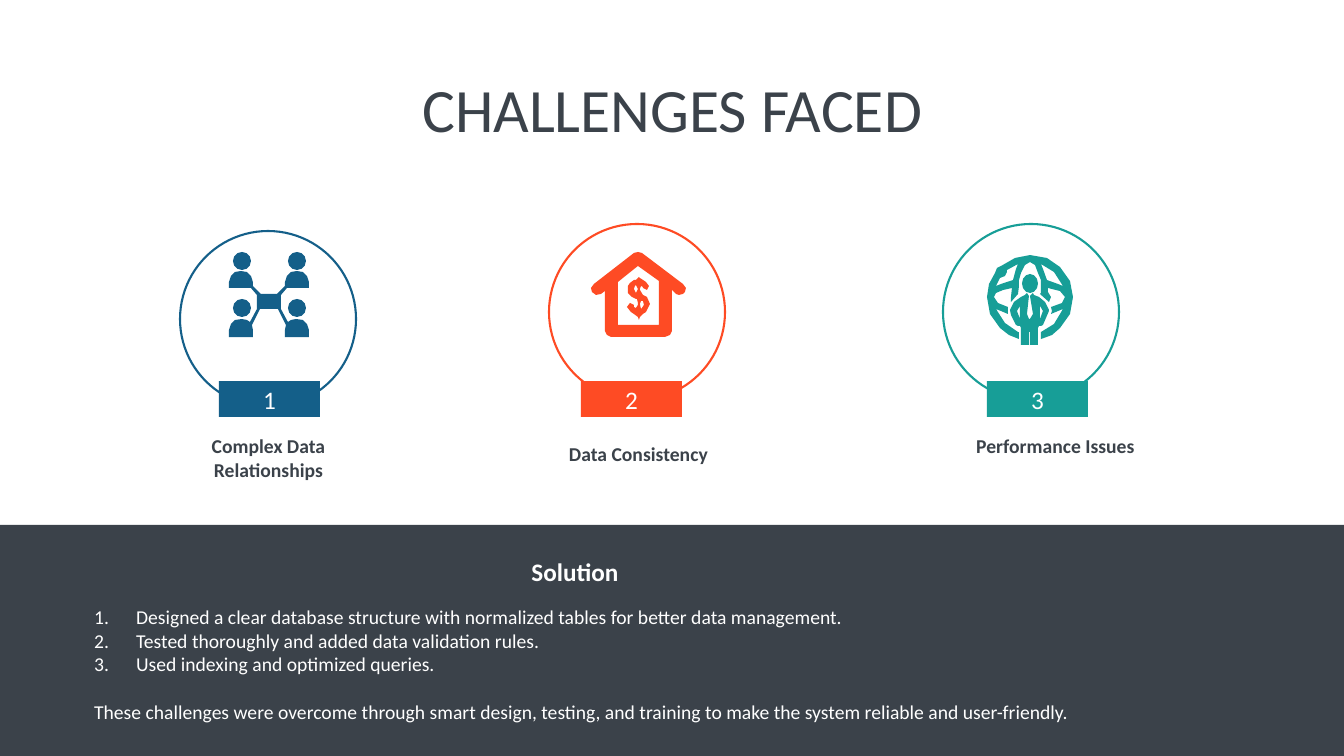
from lxml import etree
from pptx import Presentation
from pptx import util as u
from pptx.dml.color import RGBColor
from pptx.enum import shapes, text
from pptx.oxml.ns import qn

PX = 12192000 / 1344
DARK = RGBColor(0x3B, 0x42, 0x4A)
WHITE = RGBColor(0xFF, 0xFF, 0xFF)
BLUE = RGBColor(0x14, 0x5F, 0x89)
ORANGE = RGBColor(0xFE, 0x4B, 0x24)
TEAL = RGBColor(0x17, 0x9E, 0x97)
RECT, OVAL = shapes.MSO_SHAPE.RECTANGLE, shapes.MSO_SHAPE.OVAL


def px(*lengths):
    return [u.Emu(round(length * PX)) for length in lengths]


def write(para, words, size=14, color=DARK, bold=False, align=text.PP_ALIGN.CENTER,
          spacing=1.0, before=0):
    para.alignment = align
    para.line_spacing = spacing
    para.space_before = u.Pt(before)
    span = para.add_run()
    span.text = words
    span.font.name = "Calibri"
    span.font.size = u.Pt(size)
    span.font.bold = bold
    span.font.color.rgb = color


deck = Presentation()
deck.slide_width, deck.slide_height = px(1344, 756)
page = deck.slides.add_slide(deck.slide_layouts[1])
solids = []

# Dark band, behind everything else
band = page.shapes.add_shape(RECT, *px(0, 525, 1344, 231))
page.shapes.element.insert(2, band.element)
solids.append((band, DARK))

# Title
title = page.shapes.title
title.left, title.top, title.width, title.height = px(93, 40, 1159, 146)
title.text_frame.vertical_anchor = text.MSO_ANCHOR.MIDDLE
write(title.text_frame.paragraphs[0], "CHALLENGES FACED", size=44, spacing=0.9)

# Challenges: ring, numbered badge and caption
challenges = [
    ("Complex Data Relationships", BLUE, (180, 231), 219, (156, 429, 225, 57)),
    ("Data Consistency", ORANGE, (549, 224), 581, (526, 437, 225, 34)),
    ("Performance Issues", TEAL, (943, 224), 987, (943, 429, 225, 34)),
]
for number, (caption, color, ring_at, badge_left, caption_at) in enumerate(challenges, 1):
    ring = page.shapes.add_shape(OVAL, *px(*ring_at, 176, 176))
    ring.shadow.inherit = False
    ring.fill.background()
    ring.line.color.rgb = color
    ring.line.width = u.Pt(1.5)

    badge = page.shapes.add_shape(RECT, *px(badge_left, 381, 101, 36))
    badge.text_frame.vertical_anchor = text.MSO_ANCHOR.MIDDLE
    write(badge.text_frame.paragraphs[0], str(number), size=18, color=WHITE)
    solids.append((badge, color))

    box = page.shapes.add_textbox(*px(*caption_at))
    box.text_frame.word_wrap = True
    write(box.text_frame.paragraphs[0], caption, bold=True)

# Heads of the four team members and of the manager
heads = [(x, y, 18, 18, BLUE) for y in (252, 299) for x in (233, 288)]
heads.append((1022, 274, 16, 19, TEAL))
for *head_at, color in heads:
    solids.append((page.shapes.add_shape(OVAL, *px(*head_at)), color))

# Icon outlines: the first contour is the outside, the others are holes
team_left = [
    (261, 294), (253, 286), (253, 282), (251, 276), (247, 272), (241, 271), (235, 272),
    (231, 276), (229, 282), (229, 288), (251, 288), (257, 295), (257, 309), (250, 322),
    (247, 320), (242, 319), (235, 320), (231, 324), (229, 330), (229, 337), (253, 337),
    (253, 330), (252, 325), (260, 309),
]
team = [team_left + [(538 - x, y) for x, y in reversed(team_left)]]
house = [
    [(601, 294), (605, 291), (605, 331), (607, 335), (611, 337), (665, 337), (670, 335),
     (672, 331), (672, 290), (676, 294), (679, 295), (683, 294), (685, 292), (686, 288),
     (683, 284), (642, 253), (638, 252), (634, 253), (594, 284), (591, 288), (592, 292),
     (596, 295)],
    [(638, 266), (659, 281), (659, 325), (618, 325), (618, 282)],
]
dollar = [
    [(636, 308), (634, 307), (634, 305), (630, 303), (627, 307), (631, 312), (634, 314),
     (638, 317), (639, 320), (640, 317), (643, 314), (646, 312), (650, 304), (647, 297),
     (643, 295), (640, 290), (640, 289), (641, 286), (643, 287), (643, 288), (647, 290),
     (649, 286), (646, 282), (643, 280), (640, 278), (639, 277), (638, 278), (636, 280),
     (634, 280), (630, 283), (628, 286), (628, 293), (632, 297), (636, 299), (637, 299),
     (638, 303), (638, 305)],
    [(640, 304), (641, 301), (643, 301), (644, 305), (642, 308), (641, 309)],
    [(636, 293), (634, 289), (635, 286), (636, 285), (638, 289)],
]
manager = [
    [(1043, 325), (1049, 311), (1049, 310), (1045, 302), (1039, 297), (1034, 295),
     (1033, 293), (1030, 296), (1033, 314), (1030, 319), (1029, 319), (1027, 314),
     (1029, 296), (1027, 293), (1025, 295), (1021, 297), (1014, 302), (1010, 310),
     (1011, 315), (1016, 325), (1018, 326), (1020, 326), (1021, 328), (1021, 345),
     (1029, 345), (1029, 332), (1030, 332), (1030, 345), (1038, 345), (1038, 328),
     (1039, 326), (1041, 326)],
    [(1017, 311), (1020, 306), (1020, 319)],
    [(1040, 319), (1040, 306), (1043, 311)],
]
globe = [
    [(1060, 267), (1047, 258), (1030, 255), (1015, 258), (1001, 266), (997, 268),
     (995, 273), (989, 284), (987, 297), (990, 314), (1000, 328), (1009, 335),
     (1019, 339), (1019, 332), (1018, 332), (1005, 323), (996, 309), (1001, 311),
     (1008, 314), (1008, 307), (998, 303), (994, 297), (996, 293), (1003, 290),
     (1012, 288), (1011, 297), (1011, 302), (1018, 294), (1019, 286), (1019, 280),
     (1021, 273), (1025, 265), (1030, 262), (1035, 265), (1038, 273), (1041, 280),
     (1041, 286), (1041, 293), (1040, 294), (1049, 302), (1051, 297), (1048, 292),
     (1048, 288), (1060, 291), (1065, 297), (1062, 303), (1051, 307), (1052, 311),
     (1051, 314), (1058, 311), (1063, 309), (1054, 324), (1041, 332), (1041, 339),
     (1052, 335), (1060, 328), (1070, 314), (1073, 297), (1070, 281)],
    [(1016, 269), (1013, 280), (1001, 284), (996, 286), (1000, 278), (1005, 276),
     (1007, 272), (1007, 270), (1018, 264)],
    [(1058, 284), (1047, 280), (1043, 269), (1041, 264), (1054, 272), (1063, 286)],
]
icons = [(team, BLUE), (house, ORANGE), (dollar, ORANGE), (manager, TEAL), (globe, TEAL)]
for (outside, *holes), color in icons:
    builder = page.shapes.build_freeform(*outside[0], scale=PX)
    builder.add_line_segments(outside[1:], close=True)
    for hole in holes:
        builder.move_to(*hole[0])
        builder.add_line_segments(hole[1:], close=True)
    solids.append((builder.convert_to_shape(), color))

# Plain fill for every solid shape
for solid, color in solids:
    solid.shadow.inherit = False
    solid.fill.solid()
    solid.fill.fore_color.rgb = color
    solid.line.fill.background()

# Solution heading
heading = page.shapes.add_textbox(*px(468, 551, 214, 40))
heading.text_frame.word_wrap = True
write(heading.text_frame.paragraphs[0], "Solution", size=18, color=WHITE, bold=True)

# Solution list: numbered steps, then a closing sentence
body = page.placeholders[1]
body.left, body.top, body.width, body.height = px(84, 600, 1159, 119)
body.text_frame.auto_size = text.MSO_AUTO_SIZE.NONE
body.text_frame.vertical_anchor = text.MSO_ANCHOR.TOP
steps = [
    "Designed a clear database structure with normalized tables for better data management.",
    "Tested thoroughly and added data validation rules.",
    "Used indexing and optimized queries.",
]
closing = ("These challenges were overcome through smart design, testing, and training "
           "to make the system reliable and user-friendly.")
for index, sentence in enumerate(steps + [closing]):
    para = body.text_frame.paragraphs[0] if index == 0 else body.text_frame.add_paragraph()
    numbered = sentence != closing
    write(para, sentence, color=WHITE, align=text.PP_ALIGN.LEFT, before=0 if numbered else 17)
    hang = px(42 if numbered else 0)[0]
    props = para._p.get_or_add_pPr()
    props.set("marL", str(hang))
    props.set("indent", str(-hang))
    if numbered:
        etree.SubElement(props, qn("a:buFont"), typeface="+mj-lt")
        etree.SubElement(props, qn("a:buAutoNum"), type="arabicPeriod")
    else:
        etree.SubElement(props, qn("a:buNone"))

deck.save("out.pptx")
